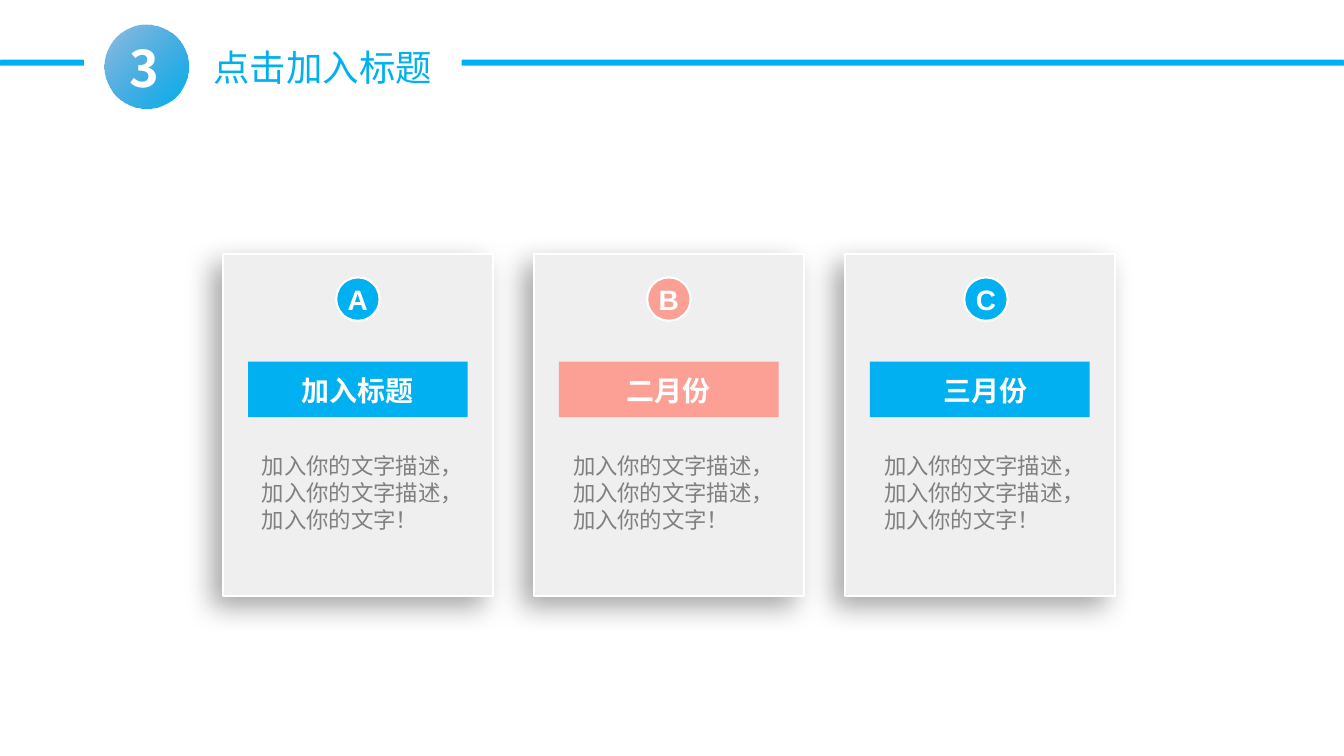
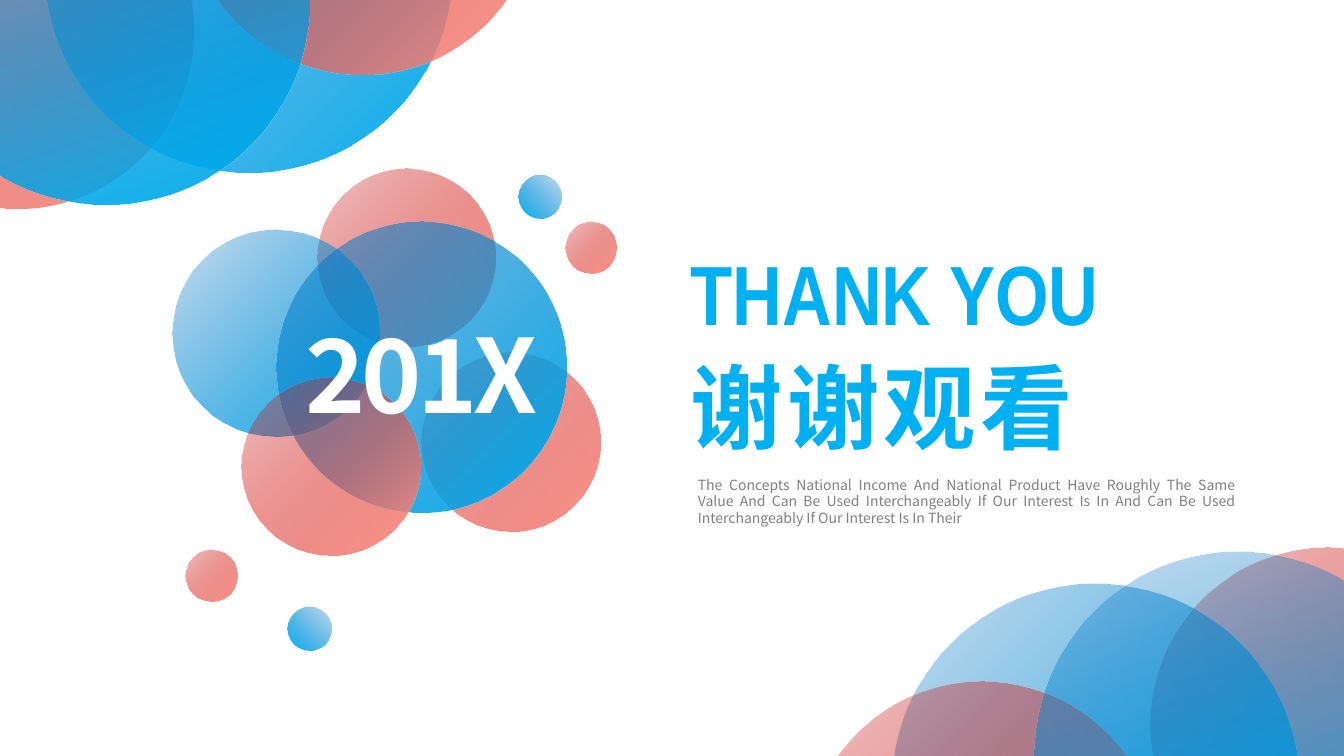
from collections import namedtuple
from dataclasses import dataclass

from lxml import etree
from pptx import Presentation
from pptx.dml.color import RGBColor
from pptx.enum.shapes import MSO_SHAPE
from pptx.enum.text import MSO_ANCHOR, PP_ALIGN
from pptx.oxml.ns import qn
from pptx.util import Inches, Pt

RECT = MSO_SHAPE.RECTANGLE
ROUND_RECT = MSO_SHAPE.ROUNDED_RECTANGLE
OVAL = MSO_SHAPE.OVAL
LEFT, CENTER, JUSTIFY = PP_ALIGN.LEFT, PP_ALIGN.CENTER, PP_ALIGN.JUSTIFY
MIDDLE = MSO_ANCHOR.MIDDLE

WIDTH, HEIGHT = Inches(13.33), Inches(7.5)

Style = namedtuple("Style", "font size color bold leading spacing")
Circle = namedtuple("Circle", "x y d tone")
Tone = namedtuple("Tone", "start end alpha angle")
Card = namedtuple("Card", "letter label color alpha nudge")


@dataclass(frozen=True)
class Theme:
    blue: str = "00B0F0"
    deep_blue: str = "0070C0"
    coral: str = "FE978C"
    deep_red: str = "C00000"
    white: str = "FFFFFF"
    panel: str = "EFEFEF"
    gray: str = "808080"
    shadow: str = "000000"
    sans: str = "Noto Sans CJK SC"
    latin: str = "Arial"
    narrow: str = "Arial Narrow"

    def style(self, size, color, bold=False, font=None, leading=1.28, spacing=0):
        return Style(font or self.sans, size, color, bold, leading, spacing)


T = Theme()
TITLE = T.style(26, T.blue)
NUMBER = T.style(36, T.white, True, spacing=-3)
LETTER = T.style(20, T.white, True, T.latin, 1.2)
LABEL = T.style(20, T.white, True)
BODY = T.style(16, T.gray, leading=1.2)
SMALL = T.style(10, T.gray, leading=1.18)
YEAR = T.style(73, T.white, True, spacing=-3)
THANKS = T.style(60, T.blue, True, T.narrow, 1.2)
THANKS_CJK = T.style(66, T.blue, True, spacing=3)

BLUE = Tone(T.deep_blue, T.blue, 22, 45)
STEEP_BLUE = BLUE._replace(angle=72)
BACK_BLUE = BLUE._replace(angle=135)
STRONG_BLUE = BLUE._replace(alpha=44)
CORAL = Tone(T.deep_red, T.coral, 22, 45)

CORNER = [
    Circle(-11.9, -19.2, 26.3, CORAL),
    Circle(3.3, -31.1, 30.35, BLUE),
    Circle(13.8, -36.9, 26.3, CORAL),
    Circle(-7.35, -26.95, 30.35, STEEP_BLUE),
]
CLUSTER = [
    Circle(23.6, 22.25, 13.3, CORAL),
    Circle(31.35, 46.7, 13.3, CORAL),
    Circle(12.85, 30.4, 15.4, BLUE),
    Circle(20.55, 29.35, 21.6, STRONG_BLUE),
    Circle(38.55, 23.15, 3.25, BACK_BLUE),
    Circle(42.05, 29.35, 3.85, CORAL),
    Circle(18, 49.9, 13.3, CORAL),
    Circle(21.4, 80.25, 3.25, BACK_BLUE),
    Circle(13.8, 72.7, 3.85, CORAL),
]
CARDS = [
    Card("A", "加入标题", T.blue, 100, 0),
    Card("B", "二月份", T.coral, 90, 0),
    Card("C", "三月份", T.blue, 100, 0.45),
]
CARD_TEXT = "加入你的文字描述，加入你的文字描述，加入你的文字！"
CARD_LEFT, CARD_PITCH, CARD_W = 16.58, 23.14, 20.1
THANKS_TEXT = (
    "The Concepts National Income And National Product Have Roughly The Same "
    "Value And Can Be Used Interchangeably If Our Interest Is In And Can Be Used "
    "Interchangeably If Our Interest Is In Their"
)


def share_x(percent):
    return round(WIDTH * percent / 100)


def share_y(percent):
    return round(HEIGHT * percent / 100)


def frame(x, y, w, h):
    return share_x(x), share_y(y), share_x(w), share_y(h)


def set_alpha(color_node, percent):
    etree.SubElement(color_node, qn("a:alpha"), val=str(percent * 1000))


def set_text(tf, lines, align, margins=(0.1, 0.05)):
    tf.word_wrap = True
    tf.margin_left = tf.margin_right = Inches(margins[0])
    tf.margin_top = tf.margin_bottom = Inches(margins[1])
    tf.text = "\n".join(text for text, style in lines)
    for p, (text, style) in zip(tf.paragraphs, lines):
        p.alignment = align
        p.line_spacing = Pt(style.size * style.leading)
        for r in p.runs:
            r.font.name = style.font
            r.font.size = Pt(style.size)
            r.font.bold = style.bold
            r.font.color.rgb = RGBColor.from_string(style.color)
            rPr = r.font._element
            etree.SubElement(rPr, qn("a:ea"), typeface=style.font)
            if style.spacing:
                rPr.set("spc", str(style.spacing * 100))


def add_text(slide, box, lines, align=LEFT, margins=(0.1, 0.05)):
    sp = slide.shapes.add_textbox(*box)
    set_text(sp.text_frame, lines, align, margins)


def add_solid(slide, kind, box, color, alpha=100, line=None):
    sp = slide.shapes.add_shape(kind, *box)
    sp.shadow.inherit = False
    sp.fill.solid()
    sp.fill.fore_color.rgb = RGBColor.from_string(color)
    if alpha < 100:
        set_alpha(sp._element.spPr.find(".//" + qn("a:srgbClr")), alpha)
    if line:
        sp.line.color.rgb = RGBColor.from_string(line)
        sp.line.width = Pt(1.5)
    else:
        sp.line.fill.background()
    return sp


def add_circle(slide, x, y, d, tone):
    size = share_x(d)
    sp = slide.shapes.add_shape(OVAL, share_x(x), share_y(y), size, size)
    sp.shadow.inherit = False
    sp.line.fill.background()
    sp.fill.gradient()
    sp.fill.gradient_angle = 360 - tone.angle
    for stop, color in zip(sp.fill.gradient_stops, (tone.start, tone.end)):
        stop.color.rgb = RGBColor.from_string(color)
    set_alpha(sp._element.spPr.find(".//" + qn("a:srgbClr")), tone.alpha)


def opposite(circle):
    height = circle.d * WIDTH / HEIGHT
    return circle._replace(x=100 - circle.x - circle.d, y=100 - circle.y - height)


def add_drop_shadow(sp):
    effects = sp._element.spPr.find(qn("a:effectLst"))
    shadow = etree.SubElement(
        effects, qn("a:outerShdw"), blurRad=str(Pt(20)), dist=str(Pt(10)),
        dir=str(136 * 60000), algn="ctr", rotWithShape="0")
    set_alpha(etree.SubElement(shadow, qn("a:srgbClr"), val=T.shadow), 34)


def add_header(slide, number, title):
    add_text(slide, frame(15.15, 4.93, 18.5, 7.2), [(title, TITLE)])
    for x, w in ((34.35, 65.65), (0, 6.25)):
        add_solid(slide, ROUND_RECT, frame(x, 7.9, w, 0.8), T.blue)
    add_circle(slide, 7.75, 3.25, 6.25, STRONG_BLUE)
    add_text(slide, frame(5.85, 3.73, 9.8, 9.5), [(number, NUMBER)], CENTER)


def add_card(slide, x, card):
    panel = add_solid(slide, RECT, frame(x, 33.6, CARD_W, 45.2), T.panel, line=T.white)
    add_drop_shadow(panel)

    d = 3.23
    left = x + (CARD_W - d) / 2 + card.nudge
    badge_box = (share_x(left), share_y(36.7), share_x(d), share_x(d))
    badge = add_solid(slide, OVAL, badge_box, card.color, card.alpha, T.white)
    set_text(badge.text_frame, [(card.letter, LETTER)], CENTER, (0, 0))

    bar_w = 16.35
    bar_box = frame(x + (CARD_W - bar_w) / 2, 47.85, bar_w, 7.35)
    bar = add_solid(slide, RECT, bar_box, card.color, card.alpha)
    set_text(bar.text_frame, [(card.label, LABEL)], CENTER, (0, 0))
    bar.text_frame.margin_left = share_x(2 * card.nudge)
    for sp in (badge, bar):
        sp.text_frame.vertical_anchor = MIDDLE

    text_w = 15.75
    add_text(slide, frame(x + (CARD_W - text_w) / 2, 59.87, text_w, 10.5),
             [(CARD_TEXT, BODY)], margins=(0.1, 0))


def build_cards_slide(slide):
    add_header(slide, "3", "点击加入标题")
    for i, card in enumerate(CARDS):
        add_card(slide, CARD_LEFT + i * CARD_PITCH, card)


def build_thanks_slide(slide):
    for circle in CORNER + [opposite(c) for c in CORNER] + CLUSTER:
        add_circle(slide, *circle)
    add_text(slide, frame(20.8, 39.47, 21.2, 18.4), [("201X", YEAR)], CENTER)
    add_text(slide, frame(51.4, 62.53, 41, 10), [(THANKS_TEXT, SMALL)], JUSTIFY, (0.07, 0.04))
    add_text(slide, frame(50.65, 31.33, 44.5, 29.6),
             [("THANK YOU", THANKS), ("谢谢观看", THANKS_CJK)])


def main():
    prs = Presentation()
    prs.slide_width, prs.slide_height = WIDTH, HEIGHT
    blank = prs.slide_layouts[6]
    for build in (build_cards_slide, build_thanks_slide):
        build(prs.slides.add_slide(blank))
    prs.save("out.pptx")


if __name__ == "__main__":
    main()
